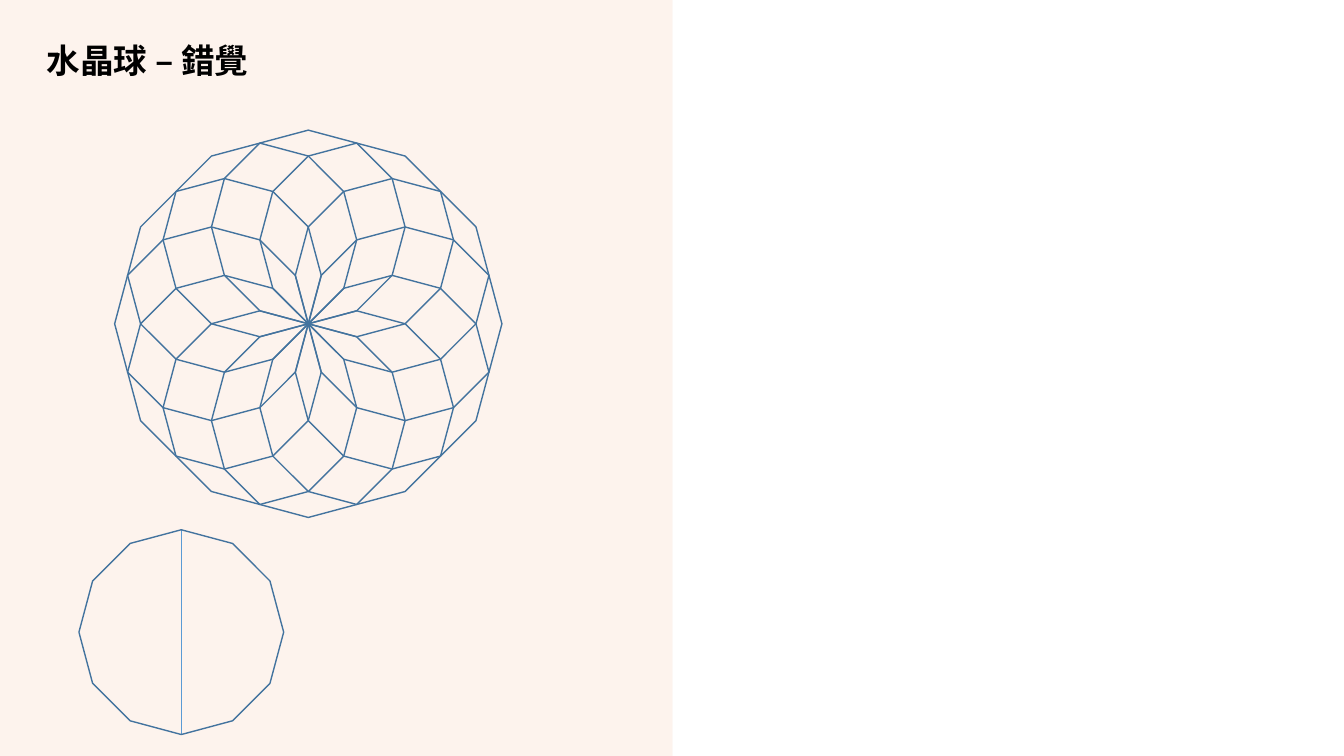
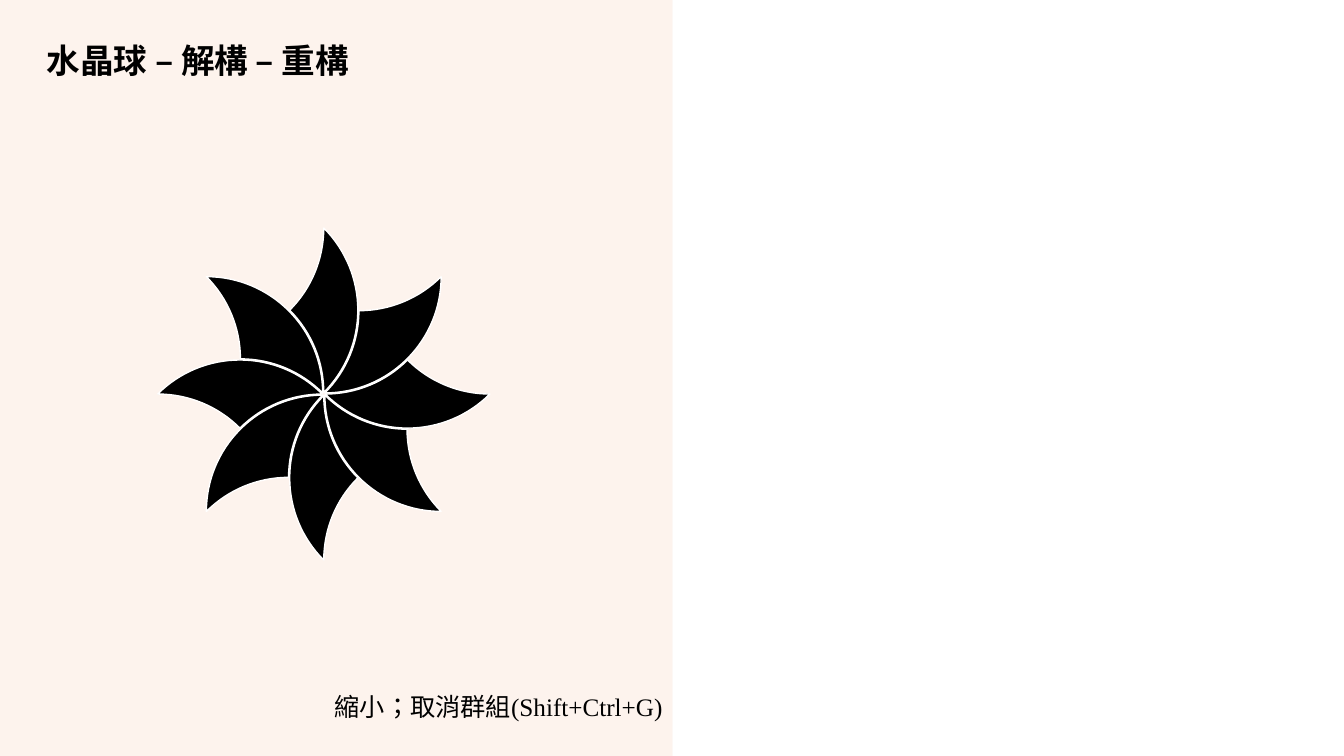
"""Build two slides on the crystal ball illusion: rotated dodecagons and a pinwheel."""
import math

import lxml.etree
import pptx
import pptx.dml.color
import pptx.enum.shapes
import pptx.enum.text
import pptx.oxml.ns
import pptx.util

Cm = pptx.util.Cm
Pt = pptx.util.Pt
RGB = pptx.dml.color.RGBColor.from_string
qn = pptx.oxml.ns.qn

COLORS = {
    "panel": "F4B183",
    "divider": "FBE5D6",
    "outline": "43739E",
    "diameter": "5B9BD5",
    "black": "000000",
    "white": "FFFFFF",
}
CJK_FONT = "Noto Sans CJK SC"
CAPTION_FONT = "Times New Roman"
TITLES = ["水晶球 – 錯覺", "水晶球 – 解構 – 重構"]
PANEL_W = 16.94
SLIDE_H = 19.05


def add_text(s, box, text, font, size, bold, align, anchor):
    sp = s.shapes.add_textbox(*[Cm(v) for v in box])
    tf = sp.text_frame
    tf.word_wrap = True
    tf.vertical_anchor = anchor
    p = tf.paragraphs[0]
    p.alignment = align
    r = p.add_run()
    r.text = text
    r.font.name = font
    r.font.size = Pt(size)
    r.font.bold = bold
    r.font.color.rgb = RGB(COLORS["black"])
    r.font._element.set("lang", "zh-TW")
    ea = lxml.etree.SubElement(r.font._element, qn("a:ea"))
    ea.set("typeface", CJK_FONT)
    return p


def add_outline(s, points, line, fill=None):
    pts = [(Cm(x), Cm(y)) for x, y in points]
    builder = s.shapes.build_freeform(*pts[0])
    builder.add_line_segments(pts[1:], close=True)
    sp = builder.convert_to_shape()
    sp.shadow.inherit = False
    if fill:
        sp.fill.solid()
        sp.fill.fore_color.rgb = RGB(COLORS[fill])
    else:
        sp.fill.background()
    sp.line.color.rgb = RGB(COLORS[line])
    sp.line.width = Pt(1)
    return sp


prs = pptx.Presentation()
prs.slide_width = Cm(33.87)
prs.slide_height = Cm(SLIDE_H)
blank = prs.slide_layouts[6]
illusion, pinwheel = [prs.slides.add_slide(blank) for _ in TITLES]

panel = illusion.shapes.add_shape(
    pptx.enum.shapes.MSO_SHAPE.RECTANGLE, 0, 0, Cm(PANEL_W), Cm(SLIDE_H))
panel.shadow.inherit = False
panel.fill.solid()
panel.fill.fore_color.rgb = RGB(COLORS["panel"])
panel.line.fill.background()
divider = illusion.shapes.add_connector(
    pptx.enum.shapes.MSO_CONNECTOR.STRAIGHT, Cm(PANEL_W), Cm(SLIDE_H), Cm(PANEL_W), 0)
divider.line.color.rgb = RGB(COLORS["divider"])
divider.line.width = Pt(0.25)
lxml.etree.SubElement(divider._element.spPr, qn("a:effectLst"))
for sp, opacity in ((panel, 14), (divider, 50)):
    color = sp._element.spPr.find(".//" + qn("a:srgbClr"))
    lxml.etree.SubElement(color, qn("a:alpha")).set("val", str(opacity * 1000))
    blank.shapes._spTree.append(sp._element)

for s, title in zip((illusion, pinwheel), TITLES):
    p = add_text(s, (0.93, 1.02, 15.11, 1.12), title, CJK_FONT, 24, True,
                 pptx.enum.text.PP_ALIGN.LEFT, pptx.enum.text.MSO_ANCHOR.MIDDLE)
    p.line_spacing = 0.9

SIDES = 12
angles = [math.tau * i / SIDES for i in range(SIDES)]

single_x, single_y, single_r = 4.57, 15.93, 2.58
diameter = illusion.shapes.add_connector(
    pptx.enum.shapes.MSO_CONNECTOR.STRAIGHT,
    Cm(single_x), Cm(single_y - single_r), Cm(single_x), Cm(single_y + single_r))
diameter.line.color.rgb = RGB(COLORS["diameter"])
diameter.line.width = Pt(0.5)
lxml.etree.SubElement(diameter._element.spPr, qn("a:effectLst"))

pivot_x, pivot_y, ring_r = 7.77, 8.16, 2.44
dodecagons = [(single_x, single_y, single_r)]
for a in angles:
    dodecagons.append(
        (pivot_x + ring_r * math.cos(a), pivot_y + ring_r * math.sin(a), ring_r))
for cx, cy, radius in dodecagons:
    add_outline(illusion,
                [(cx + radius * math.cos(a), cy + radius * math.sin(a)) for a in angles],
                "outline")

PETALS = 8
hub_x, hub_y, arc_r, gap = 8.16, 9.93, 2.93, 0.04
half = arc_r / math.sqrt(2)
turn = math.tau / PETALS
handle = 4 / 3 * math.tan(turn / 4)
arcs = [
    (-half, -half, 1, 0),
    (-half, -half, 0, -1),
    (-arc_r, -2 * half, 0, 1),
    (-arc_r, 0, -1, 0),
]
petal = [(0, -gap)]
for cx, cy, start, end in arcs:
    a, b = start * turn, end * turn
    k = handle * (end - start)
    for angle, bend in ((a, k), (b, -k), (b, 0)):
        x = cx + arc_r * (math.cos(angle) - bend * math.sin(angle))
        y = cy + arc_r * (math.sin(angle) + bend * math.cos(angle))
        petal.append((x, y - gap))

for i in range(PETALS):
    cos, sin = math.cos(i * turn), math.sin(i * turn)
    sp = add_outline(
        pinwheel,
        [(hub_x + x * cos - y * sin, hub_y + x * sin + y * cos) for x, y in petal],
        "white", "black")
    segments = list(sp._element.iter(qn("a:lnTo")))
    for j in range(0, len(segments), 3):
        curve = lxml.etree.Element(qn("a:cubicBezTo"))
        segments[j].addprevious(curve)
        for segment in segments[j:j + 3]:
            curve.append(segment[0])
            segment.getparent().remove(segment)

add_text(pinwheel, (6.4, 17.3, 10.55, 1.02), "縮小；取消群組(Shift+Ctrl+G)", CAPTION_FONT, 18,
         False, pptx.enum.text.PP_ALIGN.RIGHT, pptx.enum.text.MSO_ANCHOR.TOP)

prs.save("out.pptx")
